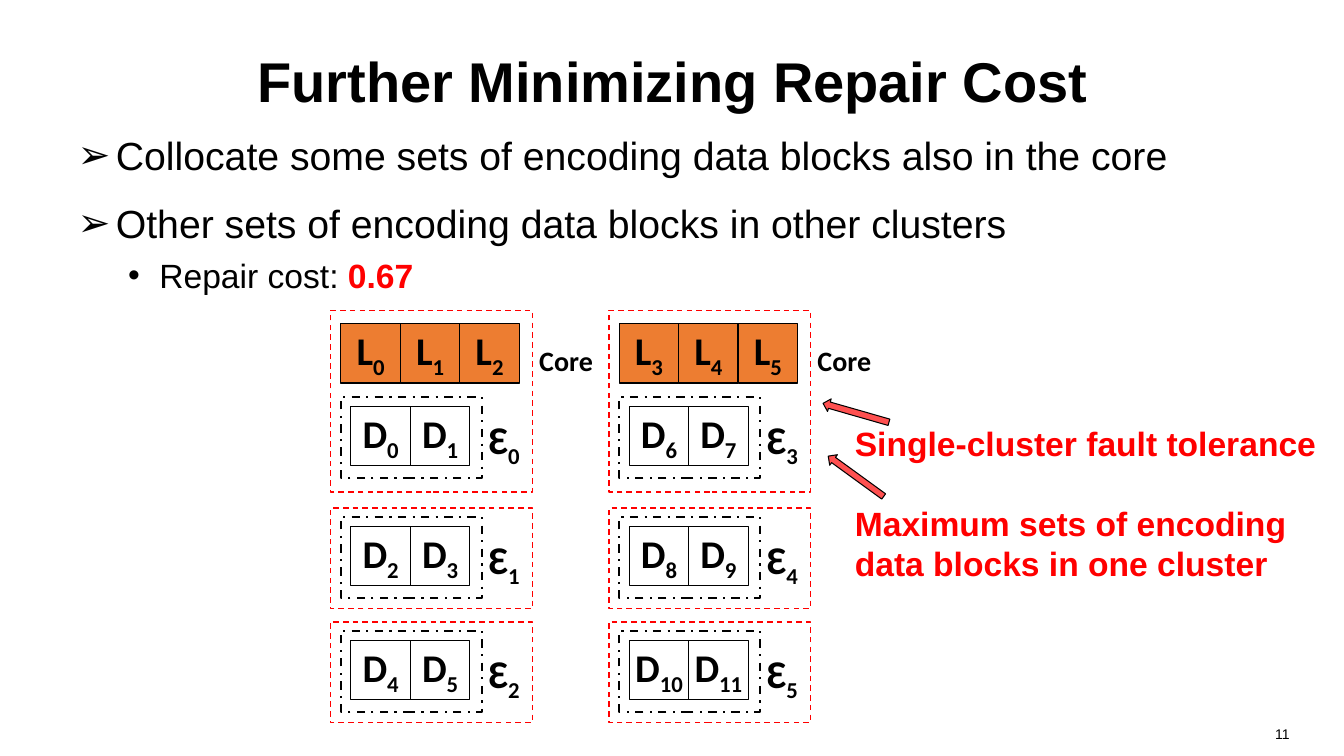
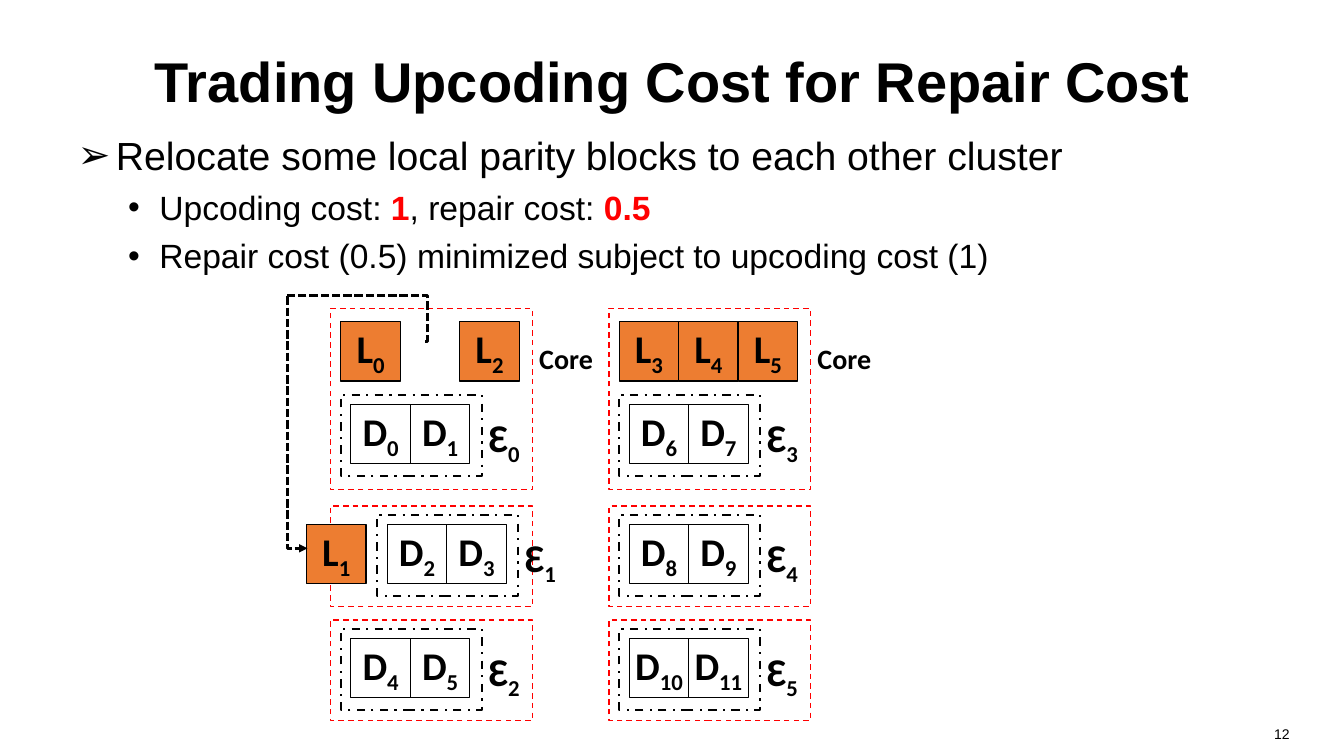
from typing import NamedTuple

from lxml import etree
from pptx import Presentation
from pptx.dml.color import RGBColor
from pptx.enum.dml import MSO_LINE
from pptx.enum.shapes import MSO_CONNECTOR, MSO_SHAPE
from pptx.enum.text import MSO_ANCHOR, MSO_AUTO_SIZE, PP_ALIGN
from pptx.oxml.ns import qn
from pptx.util import Emu, Pt

PX = 9144
RECTANGLE, RIGHT_ARROW = MSO_SHAPE.RECTANGLE, MSO_SHAPE.RIGHT_ARROW
ELBOW = MSO_CONNECTOR.ELBOW
DASH, DASH_DOT, SQUARE_DOT = MSO_LINE.DASH, MSO_LINE.DASH_DOT, MSO_LINE.SQUARE_DOT
LEFT, CENTER, RIGHT = PP_ALIGN.LEFT, PP_ALIGN.CENTER, PP_ALIGN.RIGHT
TOP, MIDDLE = MSO_ANCHOR.TOP, MSO_ANCHOR.MIDDLE
NO_AUTOFIT = MSO_AUTO_SIZE.NONE

BLACK = RGBColor(0x00, 0x00, 0x00)
RED = RGBColor(0xFF, 0x00, 0x00)
ORANGE = RGBColor(0xED, 0x7D, 0x31)
CORAL = RGBColor(0xFF, 0x50, 0x50)
SANS, LABEL = "Arial", "Calibri"

CELL = 59
COLUMN_LEFTS = (328, 604)
CLUSTER_WIDTH = 200
ROWS = ((0, 180), (196, 100), (309, 100))
BULLETS = (("➢", 38, 38, 28, 15), ("•", 81, 31, 24, 6))


class Box(NamedTuple):
    left: int
    top: int
    width: int
    height: int

    def emu(self):
        return [Emu(value * PX) for value in self]


TITLE_BOX = Box(67, 17, 1200, 125)
BODY_BOX = Box(67, 125, 1200, 151)
NUMBER_BOX = Box(978, 715, 311, 35)


def place(shape, box):
    shape.left, shape.top, shape.width, shape.height = box.emu()


def set_font(font, size, name, color=BLACK, bold=False):
    font.size, font.name, font.bold = Pt(size), name, bold
    font.color.rgb = color


def add_shape(page, box, kind=RECTANGLE, fill=None, line=BLACK, width=0.75, dash=None):
    shape = page.shapes.add_shape(kind, *box.emu())
    shape.shadow.inherit = False
    if fill is None:
        shape.fill.background()
    else:
        shape.fill.solid()
        shape.fill.fore_color.rgb = fill
    shape.line.color.rgb = line
    shape.line.width = Pt(width)
    if dash is not None:
        shape.line.dash_style = dash
    return shape


def add_text(page, box, text, size, name=SANS, color=BLACK, bold=False, align=LEFT):
    frame = page.shapes.add_textbox(*box.emu()).text_frame
    frame.word_wrap = True
    para = frame.paragraphs[0]
    para.alignment = align
    set_font(para.font, size, name, color, bold)
    para.add_run().text = text
    return frame


def add_symbol(frame, letter, index, align):
    frame.word_wrap = False
    para = frame.paragraphs[0]
    para.alignment = align
    set_font(para.font, 28, LABEL, bold=True)
    para.add_run().text = letter
    subscript = para.add_run()
    subscript.text = str(index)
    subscript._r.get_or_add_rPr().set("baseline", "-25000")


def add_block(page, left, top, letter, index, fill=None):
    block = add_shape(page, Box(left, top, CELL, CELL), fill=fill)
    block.text_frame.vertical_anchor = MIDDLE
    add_symbol(block.text_frame, letter, index, CENTER)


def add_encoding_set(page, left, top, index):
    add_shape(page, Box(left, top, 140, 80), width=1.5, dash=DASH_DOT)
    for slot in range(2):
        add_block(page, left + 10 + slot * CELL, top + 9, "D", 2 * index + slot)
    symbol = page.shapes.add_textbox(*Box(left + 137, top + 13, 61, 57).emu())
    add_symbol(symbol.text_frame, "Ɛ", index, LEFT)


def add_cluster(page, box, index, core, moved):
    add_shape(page, box, line=RED, width=1, dash=DASH)
    if core:
        for slot in range(3):
            if index + slot != moved:
                add_block(page, box.left + 10 + slot * CELL, box.top + 13,
                          "L", index + slot, ORANGE)
        label_box = Box(box.left + 197, box.top + 28, 100, 44)
        add_text(page, label_box, "Core", 20, LABEL, bold=True)
    receives = index == moved
    add_encoding_set(page, box.left + (46 if receives else 10),
                     box.top + (86 if core else 9), index)
    if receives:
        add_block(page, box.left - 24, box.top + 18, "L", index, ORANGE)


def add_cluster_grid(page, top, moved=None):
    for column, left in enumerate(COLUMN_LEFTS):
        for row, (offset, height) in enumerate(ROWS):
            box = Box(left, top + offset, CLUSTER_WIDTH, height)
            add_cluster(page, box, 3 * column + row, row == 0, moved)


def add_elbow(page, box, preset, turn, flipped=False, bend=None, arrow=False):
    left, top, width, height = box.emu()
    connector = page.shapes.add_connector(ELBOW, left, top, left + width, top + height)
    connector.line.color.rgb = BLACK
    connector.line.width = Pt(2)
    connector.line.dash_style = SQUARE_DOT
    properties = connector._element.spPr
    frame = properties.find(qn("a:xfrm"))
    frame.set("rot", str(turn * 60000))
    if flipped:
        frame.set("flipH", "1")
    geometry = properties.find(qn("a:prstGeom"))
    geometry.set("prst", preset)
    if bend is not None:
        guide = etree.SubElement(geometry.find(qn("a:avLst")), qn("a:gd"))
        guide.set("name", "adj1")
        guide.set("fmla", f"val {bend}")
    if arrow:
        tail = etree.SubElement(properties.find(qn("a:ln")), qn("a:tailEnd"))
        tail.set("type", "triangle")
    etree.SubElement(properties, qn("a:effectLst"))


def fill_title(page, text):
    title = page.shapes.title
    place(title, TITLE_BOX)
    frame = title.text_frame
    frame.auto_size = NO_AUTOFIT
    frame.vertical_anchor = MIDDLE
    para = frame.paragraphs[0]
    para.alignment = CENTER
    set_font(para.font, 40, SANS, bold=True)
    para.add_run().text = text


def fill_body(page, items):
    body = page.placeholders[1]
    place(body, BODY_BOX)
    frame = body.text_frame
    frame.auto_size = NO_AUTOFIT
    frame.vertical_anchor = TOP
    for number, (level, spans) in enumerate(items):
        para = frame.add_paragraph() if number else frame.paragraphs[0]
        mark, margin, hanging, size, gap = BULLETS[level]
        para.level = level
        para.space_before = Pt(gap if number else 0)
        properties = para._p.get_or_add_pPr()
        properties.set("marL", str(margin * PX))
        properties.set("indent", str(-hanging * PX))
        etree.SubElement(properties, qn("a:buFont")).set("typeface", SANS)
        etree.SubElement(properties, qn("a:buChar")).set("char", mark)
        set_font(para.font, size, SANS)
        for position, text in enumerate(spans):
            span = para.add_run()
            span.text = text
            if position % 2:
                span.font.bold = True
                span.font.color.rgb = RED


def add_page(deck, number, title, items):
    page = deck.slides.add_slide(deck.slide_layouts[1])
    fill_title(page, title)
    fill_body(page, items)
    add_text(page, NUMBER_BOX, str(number), 10, align=RIGHT)
    return page


def add_remarks(page, box):
    frame = add_text(page, box, "Single-cluster fault tolerance", 24, color=RED, bold=True)
    para = frame.add_paragraph()
    para.space_before = Pt(28)
    set_font(para.font, 24, SANS, RED, True)
    para.add_run().text = "Maximum sets of encoding data blocks in one cluster"
    for offset, turn in ((-12, 196), (51, 216)):
        arrow_box = Box(box.left - 23, box.top + offset, 68, 13)
        add_shape(page, arrow_box, RIGHT_ARROW, CORAL).rotation = turn


def build_minimizing_page(deck):
    page = add_page(deck, 11, "Further Minimizing Repair Cost", [
        (0, ["Collocate some sets of encoding data blocks also in the core"]),
        (0, ["Other sets of encoding data blocks in other clusters"]),
        (1, ["Repair cost: ", "0.67"]),
    ])
    add_cluster_grid(page, 308)
    add_remarks(page, Box(838, 415, 495, 172))


def build_trading_page(deck):
    page = add_page(deck, 12, "Trading Upcoding Cost for Repair Cost", [
        (0, ["Relocate some local parity blocks to each other cluster"]),
        (1, ["Upcoding cost: ", "1", ", repair cost: ", "0.5"]),
        (1, ["Repair cost (0.5) minimized subject to upcoding cost (1)"]),
    ])
    add_cluster_grid(page, 306, moved=1)
    add_elbow(page, Box(282, 293, 140, 46), "bentConnector3", 180, bend=-1300)
    add_elbow(page, Box(170, 409, 250, 20), "bentConnector2", 270, flipped=True, arrow=True)


def main():
    deck = Presentation()
    deck.slide_width, deck.slide_height = Emu(1333 * PX), Emu(750 * PX)
    build_minimizing_page(deck)
    build_trading_page(deck)
    deck.save("out.pptx")


if __name__ == "__main__":
    main()
